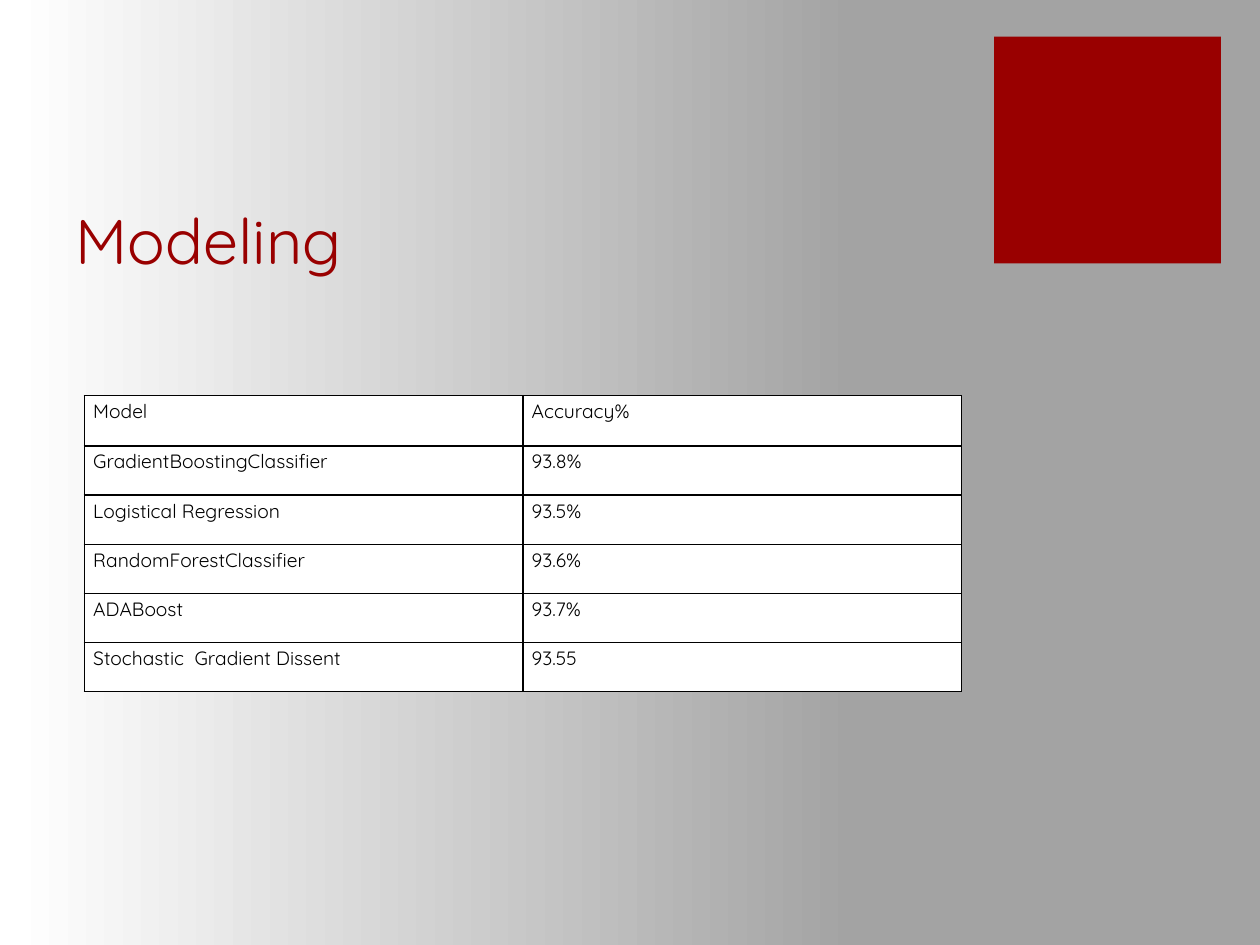
from typing import NamedTuple

from pptx import Presentation
from pptx.dml.color import RGBColor
from pptx.enum.shapes import MSO_SHAPE
from pptx.enum.text import MSO_ANCHOR, MSO_AUTO_SIZE, PP_ALIGN
from pptx.oxml import parse_xml
from pptx.oxml.ns import nsdecls
from pptx.util import Inches, Pt

RED = RGBColor(0x99, 0x00, 0x00)
GRAY = RGBColor(0xA3, 0xA3, 0xA3)
WHITE = RGBColor(0xFF, 0xFF, 0xFF)
BLACK = RGBColor(0x00, 0x00, 0x00)
FONT = "Quicksand"


class ModelScore(NamedTuple):
    model: str
    accuracy: str


SCORES = [
    ModelScore("Model", "Accuracy%"),
    ModelScore("GradientBoostingClassifier", "93.8%"),
    ModelScore("Logistical Regression", "93.5%"),
    ModelScore("RandomForestClassifier", "93.6%"),
    ModelScore("ADABoost", "93.7%"),
    ModelScore("Stochastic  Gradient Dissent", "93.55"),
]
HEADER_HEIGHT, ROW_HEIGHT = Inches(0.4), Inches(0.39)
COLUMN_WIDTH = Inches(3.48)

CELL_FORMAT = {
    "margin_left": Inches(0.07),
    "margin_right": Inches(0.07),
    "margin_top": 0,
    "margin_bottom": 0,
    "vertical_anchor": MSO_ANCHOR.TOP,
}
TITLE_FORMAT = {
    "vertical_anchor": MSO_ANCHOR.BOTTOM,
    "auto_size": MSO_AUTO_SIZE.NONE,
    "word_wrap": True,
}


def apply_format(target, values: dict) -> None:
    for name, value in values.items():
        setattr(target, name, value)


def write_text(paragraph, text: str, size: int, color: RGBColor) -> None:
    paragraph.alignment = PP_ALIGN.LEFT
    run = paragraph.add_run()
    run.text = text
    apply_format(run.font, {"name": FONT, "size": Pt(size), "bold": False})
    run.font.color.rgb = color


def add_borders(cell, color: RGBColor, width: int) -> None:
    properties = cell._tc.get_or_add_tcPr()
    # Border lines come before the fill in the cell properties
    for index, side in enumerate(("lnL", "lnR", "lnT", "lnB")):
        line = parse_xml(
            f'<a:{side} {nsdecls("a")} w="{width}"><a:solidFill>'
            f'<a:srgbClr val="{color}"/></a:solidFill></a:{side}>'
        )
        properties.insert(index, line)


def fill_cell(cell, text: str) -> None:
    apply_format(cell, CELL_FORMAT)
    cell.fill.solid()
    cell.fill.fore_color.rgb = WHITE
    paragraph = cell.text_frame.paragraphs[0]
    paragraph.line_spacing = 1.15
    write_text(paragraph, text, 11, BLACK)
    add_borders(cell, BLACK, Pt(1))


def add_score_table(slide, scores: list[ModelScore]) -> None:
    row_heights = [HEADER_HEIGHT] + [ROW_HEIGHT] * (len(scores) - 1)
    columns = len(ModelScore._fields)
    table = slide.shapes.add_table(
        len(scores), columns, Inches(0.67), Inches(3.14),
        COLUMN_WIDTH * columns, sum(row_heights),
    ).table
    for column in table.columns:
        column.width = COLUMN_WIDTH
    for row, height, score in zip(table.rows, row_heights, scores):
        row.height = height
        for cell, text in zip(row.cells, score):
            fill_cell(cell, text)


def set_background(slide) -> None:
    fill = slide.background.fill
    fill.gradient()
    fill.gradient_angle = 0
    for stop, position, color in zip(fill.gradient_stops, (0.01, 0.68), (WHITE, GRAY)):
        stop.position = position
        stop.color.rgb = color


def add_corner_square(slide) -> None:
    side = Inches(1.8)
    square = slide.shapes.add_shape(
        MSO_SHAPE.RECTANGLE, Inches(7.89), Inches(0.29), side, side
    )
    square.shadow.inherit = False
    square.fill.solid()
    square.fill.fore_color.rgb = RED
    square.line.fill.background()


def set_title(slide, text: str) -> None:
    title = slide.shapes.title
    apply_format(title, {
        "left": Inches(0.5), "top": Inches(1),
        "width": Inches(7.12), "height": Inches(1.25),
    })
    apply_format(title.text_frame, TITLE_FORMAT)
    write_text(title.text_frame.paragraphs[0], text, 36, RED)


def main() -> None:
    presentation = Presentation()
    presentation.slide_width = Inches(10)
    presentation.slide_height = Inches(7.5)
    # Title Only layout
    slide = presentation.slides.add_slide(presentation.slide_layouts[5])

    set_background(slide)
    add_corner_square(slide)
    set_title(slide, "Modeling")
    add_score_table(slide, SCORES)

    presentation.save("out.pptx")


if __name__ == "__main__":
    main()
